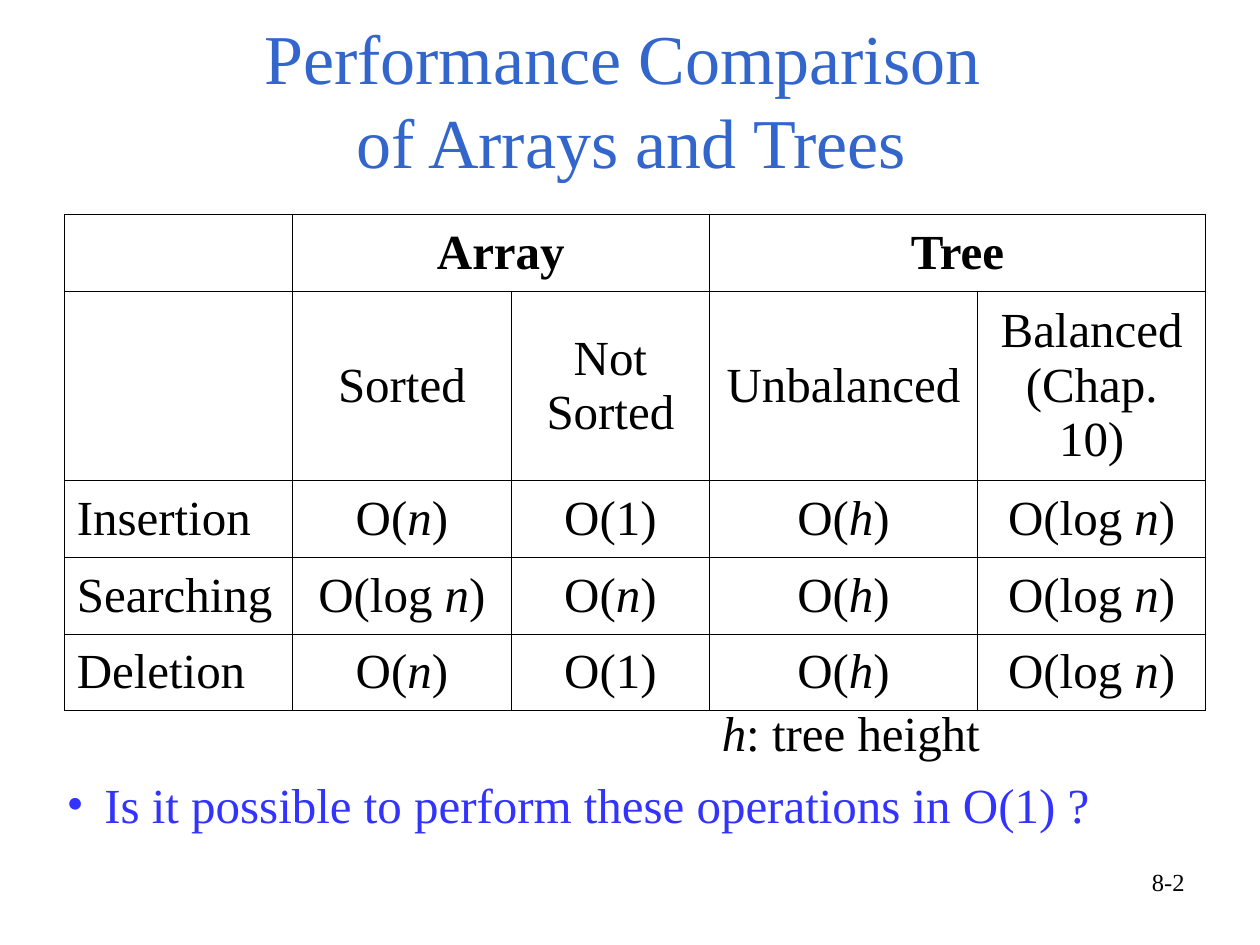
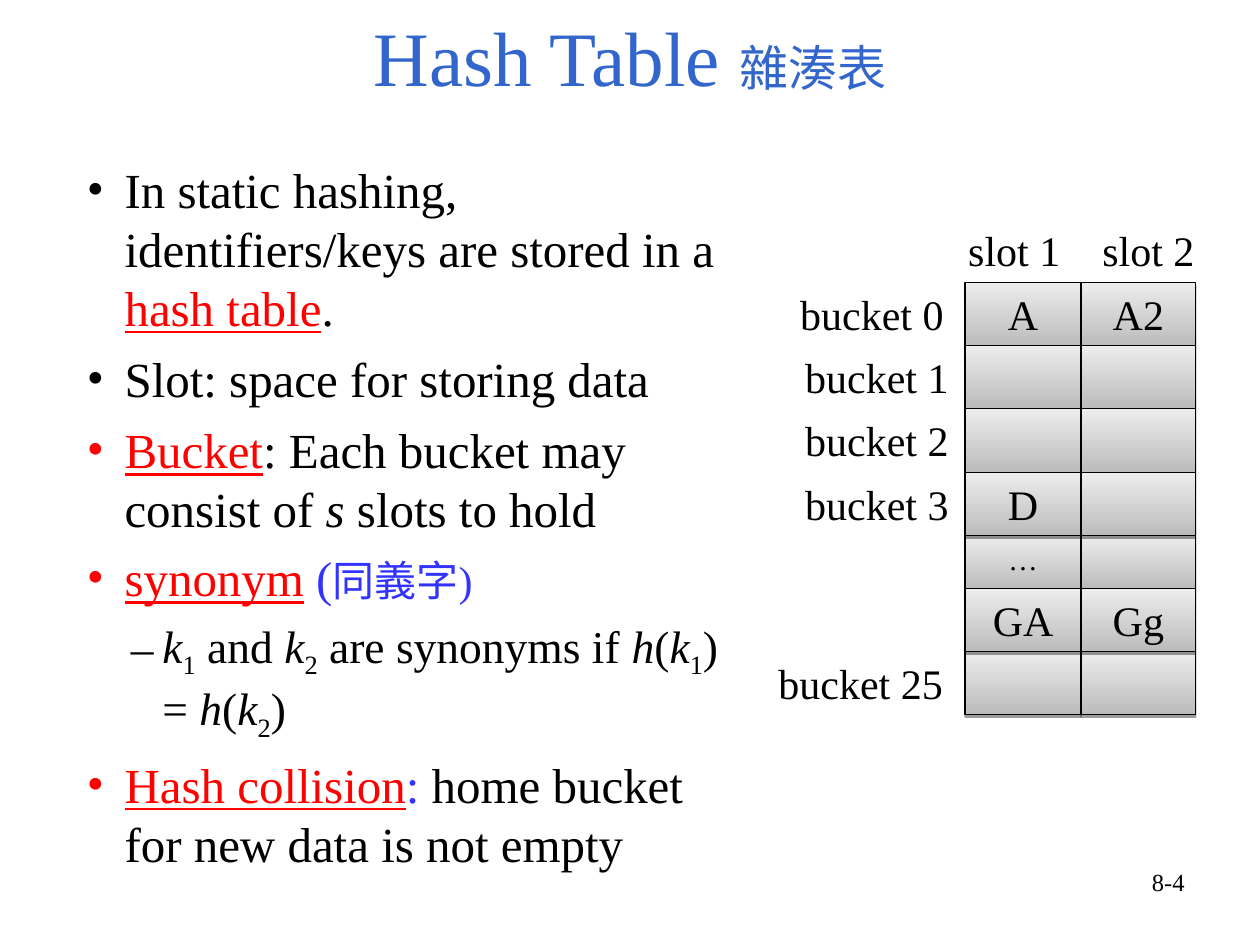
from dataclasses import dataclass
from itertools import accumulate, pairwise

from lxml.etree import SubElement
from pptx import Presentation
from pptx.dml.color import RGBColor
from pptx.enum.shapes import MSO_SHAPE as Preset
from pptx.enum.text import MSO_ANCHOR as Anchor, PP_ALIGN as Align
from pptx.oxml.ns import qn
from pptx.util import Emu, Pt

EMU_PER_PX = 9144


@dataclass(frozen=True)
class Theme:
    """Colours, typeface and type sizes shared by the slides."""
    font: str = "Times New Roman"
    title: str = "3366CC"
    ink: str = "000000"
    key: str = "FF0000"
    accent: str = "3333FF"
    paper: str = "FFFFFF"
    cell_dark: str = "BCBCBC"
    cell_light: str = "EDEDED"
    title_size: float = 44
    long_title_size: float = 40
    body_size: float = 28
    sub_size: float = 26
    label_size: float = 24
    ellipsis_size: float = 16.8
    footer_size: float = 14


THEME = Theme()


@dataclass
class Bullet:
    """A bulleted paragraph made of runs."""
    runs: list
    color: str = THEME.ink
    size: float = THEME.body_size
    before: float = 7
    level: int = 0


def px(length):
    """Turn px into EMU."""
    return Emu(length * EMU_PER_PX)


def italic(text):
    """Return an italic run."""
    return text, {"italic": True}


def key(text):
    """Return an underlined key term."""
    return text, {"color": THEME.key, "underline": True}


def indexed(letter, index):
    """Return the runs of a letter with a subscript."""
    return [italic(letter), (index, {"baseline": -25000})]


def order(variable, prefix=""):
    """Return the runs of a complexity such as O(log n)."""
    return [f"O({prefix}", italic(variable), ")"]


def add_run(paragraph, text, size, color, bold=False, italic=False,
            underline=False, baseline=0):
    """Append one formatted run."""
    run = paragraph.add_run()
    run.text = text
    font = run.font
    font.name, font.size, font.bold = THEME.font, Pt(size), bold
    font.italic, font.underline = italic, underline
    font.color.rgb = RGBColor.from_string(color)
    if baseline:
        run._r.get_or_add_rPr().set("baseline", str(baseline))


def add_bullet(paragraph, bullet):
    """Give a paragraph its bullet, level and hanging indent."""
    indent, hanging, mark = ((30, 30, "•"), (60, 25, "–"))[bullet.level]
    paragraph.level = bullet.level
    properties = paragraph._p.get_or_add_pPr()
    properties.set("marL", str(px(indent)))
    properties.set("indent", str(px(-hanging)))
    color = SubElement(properties, qn("a:buClr"))
    SubElement(color, qn("a:srgbClr"), val=bullet.color)
    SubElement(properties, qn("a:buFont"), typeface=THEME.font)
    SubElement(properties, qn("a:buChar"), char=mark)


def write(frame, paragraphs, size=THEME.body_size, color=THEME.ink, bold=False,
          align=Align.LEFT, spacing=None):
    """Fill a text frame with paragraphs, each a string, runs or a Bullet."""
    for number, content in enumerate(paragraphs):
        paragraph = frame.add_paragraph() if number else frame.paragraphs[0]
        paragraph.alignment = align
        run_size = size
        if isinstance(content, Bullet):
            add_bullet(paragraph, content)
            if number:
                paragraph.space_before = Pt(content.before)
            content, run_size = content.runs, content.size
        if spacing:
            paragraph.line_spacing = spacing
        for run in [content] if isinstance(content, str) else content:
            text, changes = (run, {}) if isinstance(run, str) else run
            style = {"size": run_size, "color": color, "bold": bold} | changes
            for part, line in enumerate(text.split("\n")):
                if part:
                    paragraph.add_line_break()
                add_run(paragraph, line, **style)


def add_text(shapes, box, paragraphs, anchor=Anchor.TOP, bottom=5, **style):
    """Add a wrapping text box."""
    frame = shapes.add_textbox(*map(px, box)).text_frame
    frame.word_wrap = True
    frame.vertical_anchor = anchor
    frame.margin_bottom = px(bottom)
    write(frame, paragraphs, **style)


def add_frame(presentation, box, title, number, size):
    """Add a slide with its title and page number."""
    slide = presentation.slides.add_slide(presentation.slide_layouts[6])
    add_text(slide.shapes, box, [title], anchor=Anchor.BOTTOM, bottom=10,
             size=size, color=THEME.title, align=Align.CENTER)
    add_text(slide.shapes, (717, 683, 233, 52), [number],
             size=THEME.footer_size, align=Align.RIGHT)
    return slide


def style_cell(cell):
    """Give a table cell a plain fill and thin black borders."""
    cell.vertical_anchor = Anchor.MIDDLE
    properties = cell._tc.get_or_add_tcPr()
    for side in ("lnL", "lnR", "lnT", "lnB"):
        border = SubElement(properties, qn(f"a:{side}"), w=str(Pt(0.45)))
        fill = SubElement(border, qn("a:solidFill"))
        SubElement(fill, qn("a:srgbClr"), val=THEME.ink)
    cell.fill.solid()
    cell.fill.fore_color.rgb = RGBColor.from_string(THEME.paper)


def add_cost_table(slide, left, top):
    """Add the table that compares the costs of arrays and trees."""
    widths = (181, 174, 157, 213, 181)
    heights = (61, 140, 61, 61, 61)
    log_n = order("n", "log ")
    rows = [
        ["", "Array", "", "Tree", ""],
        ["", "Sorted", "Not Sorted", "Unbalanced", ["Balanced", "(Chap. 10)"]],
        ["Insertion", [order("n")], "O(1)", [order("h")], [log_n]],
        ["Searching", [log_n], [order("n")], [order("h")], [log_n]],
        ["Deletion", [order("n")], "O(1)", [order("h")], [log_n]],
    ]
    box = (left, top, sum(widths), sum(heights))
    table = slide.shapes.add_table(len(rows), len(widths), *map(px, box)).table
    table.first_row = table.horz_banding = False
    for column, width in zip(table.columns, widths):
        column.width = px(width)
    for y, (height, contents) in enumerate(zip(heights, rows)):
        table.rows[y].height = px(height)
        for x, content in enumerate(contents):
            cell = table.cell(y, x)
            style_cell(cell)
            if content:
                write(cell.text_frame,
                      [content] if isinstance(content, str) else content,
                      bold=y == 0, align=Align.CENTER if x else Align.LEFT)
    for x in (1, 3):
        table.cell(0, x).merge(table.cell(0, x + 1))


def add_slot(shapes, box, text):
    """Add one shaded slot of the hash table."""
    shape = shapes.add_shape(Preset.RECTANGLE, *map(px, box))
    shape.fill.gradient()
    shape.fill.gradient_angle = 90
    for stop, color, position in zip(shape.fill.gradient_stops,
                                     (THEME.cell_dark, THEME.cell_light), (0, 1)):
        stop.color.rgb = RGBColor.from_string(color)
        stop.position = position
    shape.line.color.rgb = RGBColor.from_string(THEME.ink)
    shape.line.width = Pt(0.75)
    shape.shadow.inherit = False
    effects = shape._element.spPr.find(qn("a:effectLst"))
    shadow = SubElement(effects, qn("a:outerShdw"), blurRad="0",
                        dist=str(Pt(1.6)), dir="5400000", rotWithShape="0")
    color = SubElement(shadow, qn("a:srgbClr"), val=THEME.ink)
    SubElement(color, qn("a:alpha"), val="38000")
    shape.text_frame.vertical_anchor = Anchor.MIDDLE
    if text:
        skipped = text == "…"
        write(shape.text_frame, [text], align=Align.CENTER,
              size=THEME.ellipsis_size if skipped else THEME.label_size,
              spacing=0.8 if skipped else None)


def add_buckets(slide, left, top):
    """Add the hash table with its slot and bucket labels."""
    shapes = slide.shapes.add_group_shape().shapes
    label = {"size": THEME.label_size, "align": Align.CENTER}
    columns = list(pairwise((left, left + 92, left + 183)))
    slots = [("A", "A2"), ("", ""), ("", ""), ("D", ""),
             ("…", ""), ("GA", "Gg"), ("", "")]
    rows = list(pairwise(accumulate((50, 50, 51, 50, 42, 50, 50), initial=top)))
    for row in (0, 1, 2, 4, 6, 3, 5):
        start, end = rows[row]
        for (x, right), text in zip(columns, slots[row]):
            add_slot(shapes, (x, start, right - x, end - start), text)
    for number, offset, width in ((1, -14, 106), (2, 92, 107)):
        add_text(shapes, (left + offset, top - 51, width, 50),
                 [f"slot {number}"], **label)
    buckets = [(0, 0, 148, 148), (1, 1, 140, 140), (2, 2, 140, 140),
               (3, 3, 140, 140), (6, 25, 169, 172)]
    for row, number, offset, width in buckets:
        add_text(shapes, (left - offset, rows[row][0], width, 50),
                 [f"bucket {number}"], **label)


def add_comparison(presentation):
    """Build the slide that compares arrays and trees."""
    slide = add_frame(presentation, (51, 76, 900, 79),
                      "Performance Comparison \nof Arrays and Trees", "8-2",
                      THEME.long_title_size)
    add_cost_table(slide, 51, 170)
    add_text(slide.shapes, (563, 553, 252, 57),
             [[italic("h"), ": tree height"]])
    question = "Is it possible to perform these operations in O(1) ?"
    add_text(slide.shapes, (43, 610, 900, 92),
             [Bullet([question], color=THEME.accent)], color=THEME.accent)


def add_hash_table(presentation):
    """Build the slide that introduces the hash table."""
    slide = add_frame(presentation, (50, 30, 900, 61),
                      ["Hash Table ", ("雜湊表", {"size": THEME.body_size})],
                      "8-4", THEME.title_size)
    blue = {"color": THEME.accent}
    k1, k2 = indexed("k", "1"), indexed("k", "2")
    add_text(slide.shapes, (59, 122, 535, 578), [
        Bullet(["In static hashing, identifiers/keys are stored in a ",
                key("hash table"), "."]),
        Bullet(["Slot: space for storing data"]),
        Bullet([key("Bucket"), ": Each bucket may consist of ", italic("s"),
                " slots to hold"], color=THEME.key),
        Bullet([key("synonym"), " ", ("(", blue),
                ("同義字)", blue | {"size": THEME.label_size})],
               color=THEME.key, before=6),
        Bullet([*k1, " and ", *k2, " are synonyms if ", italic("h"), "(", *k1,
                ") = ", italic("h"), "(", *k2, ")"],
               size=THEME.sub_size, before=6.5, level=1),
        Bullet([key("Hash collision"), (": ", blue),
                "home bucket for new data is not empty"], color=THEME.key),
    ])
    add_buckets(slide, 766, 224)


def main():
    """Build and save the presentation."""
    presentation = Presentation()
    presentation.slide_width, presentation.slide_height = px(1000), px(750)
    add_comparison(presentation)
    add_hash_table(presentation)
    presentation.save("out.pptx")


if __name__ == "__main__":
    main()
